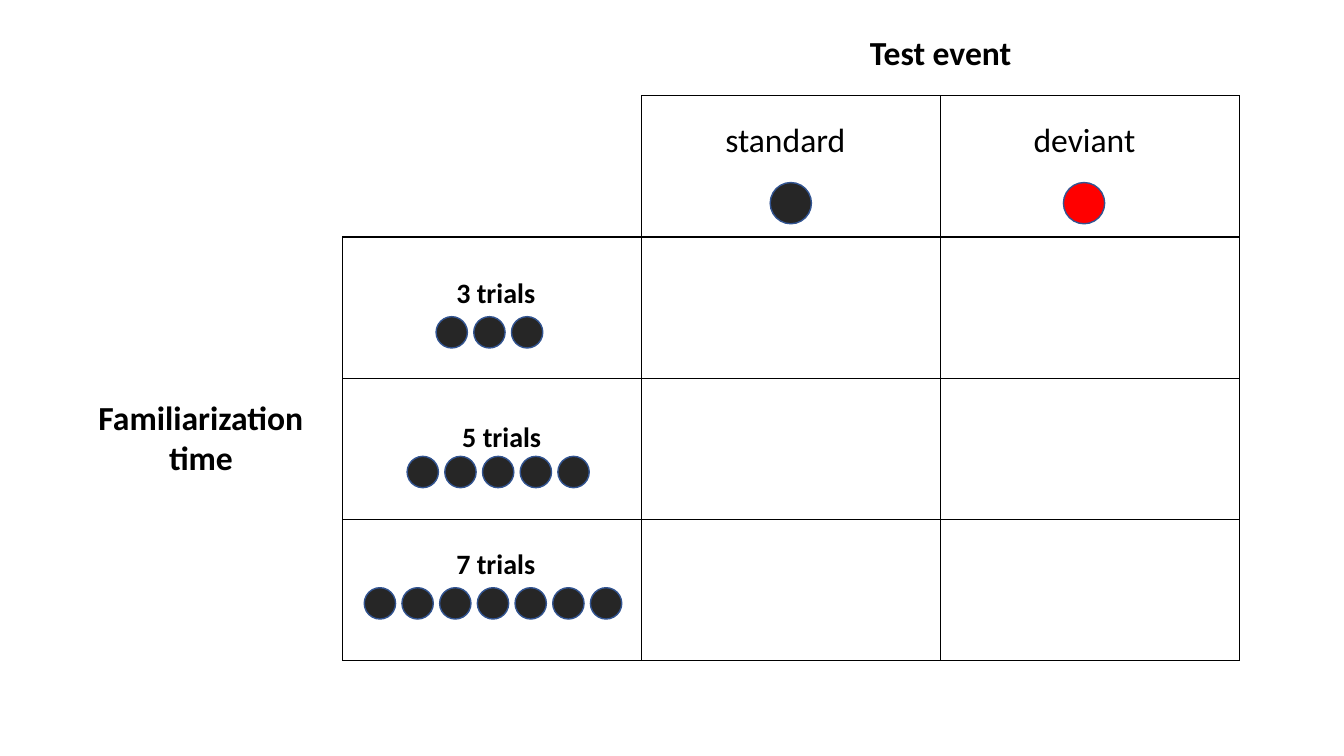
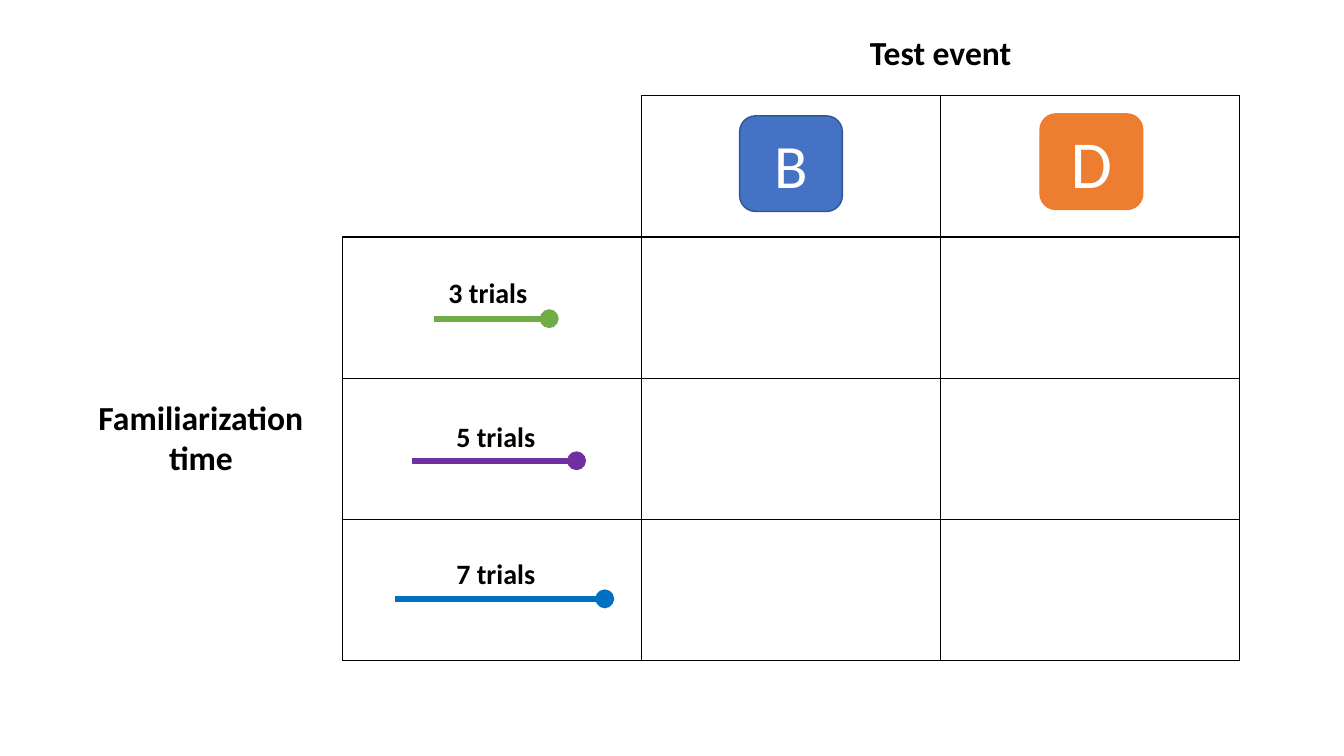
from lxml import etree
from pptx import Presentation
from pptx.dml.color import RGBColor
from pptx.enum.shapes import MSO_CONNECTOR, MSO_SHAPE
from pptx.enum.text import MSO_ANCHOR, PP_ALIGN
from pptx.oxml.ns import qn
from pptx.util import Cm, Pt

LEFT, MID = PP_ALIGN.LEFT, PP_ALIGN.CENTER
OVAL, CARD = MSO_SHAPE.OVAL, MSO_SHAPE.ROUNDED_RECTANGLE
LINE = MSO_CONNECTOR.STRAIGHT


class Theme:
    font = "Calibri"
    head, label = 24, 20
    black, white = "000000", "FFFFFF"
    dark, red, edge = "262626", "FF0000", "325491"
    blue, orange = "4472C4", "ED7D31"
    green, purple, sky = "70AD47", "7030A0", "0070C0"


def write(frame, lines, size, color=Theme.black, bold=False, align=MID):
    frame.word_wrap = True
    for i, line in enumerate(lines):
        para = frame.add_paragraph() if i else frame.paragraphs[0]
        para.alignment = align
        run = para.add_run()
        run.text = line
        run.font.name = Theme.font
        run.font.size = Pt(size)
        run.font.bold = bold
        run.font.color.rgb = RGBColor.from_string(color)


def draw(shapes, kind, x, y, w, h, fill, edge=Theme.edge):
    shape = shapes.add_shape(kind, Cm(x), Cm(y), Cm(w), Cm(h))
    shape.shadow.inherit = False
    shape.fill.solid()
    shape.fill.fore_color.rgb = RGBColor.from_string(fill)
    shape.line.color.rgb = RGBColor.from_string(edge)
    shape.line.width = Pt(1)
    return shape


prs = Presentation()
prs.slide_width, prs.slide_height = Cm(33.87), Cm(19.05)

# Row labels of each slide: text, left, top
labels = [
    [("3 trials", 11.25, 6.83), ("5 trials", 11.4, 10.44), ("7 trials", 11.25, 13.64)],
    [("3 trials", 11.05, 6.83), ("5 trials", 11.25, 10.44), ("7 trials", 11.25, 13.89)],
]

# Shared grid, headings and row labels
slides = []
for rows in labels:
    slide = prs.slides.add_slide(prs.slide_layouts[6])
    slides.append(slide)
    wide, high = 7.53, 3.56
    grid = slide.shapes.add_table(4, 3, Cm(8.64), Cm(2.41), Cm(3 * wide), Cm(4 * high)).table
    grid.first_row = grid.horz_banding = False
    for col in grid.columns:
        col.width = Cm(wide)
    for r, row in enumerate(grid.rows):
        row.height = Cm(high)
        for c, cell in enumerate(row.cells):
            cell.fill.background()
            props = cell._tc.get_or_add_tcPr()
            for i, side in enumerate("LRTB"):
                line = etree.Element(qn(f"a:ln{side}"), w=str(Pt(1)))
                if r == c == 0 and side in "LT":
                    etree.SubElement(line, qn("a:noFill"))
                else:
                    paint = etree.SubElement(line, qn("a:solidFill"))
                    etree.SubElement(paint, qn("a:srgbClr"), val=Theme.black)
                props.insert(i, line)

    for lines, x, y, h in [(["Familiarization", "time"], 0, 9.88, 2.31),
                           (["Test event"], 18.64, 0.69, 1.27)]:
        box = slide.shapes.add_textbox(Cm(x), Cm(y), Cm(10.13), Cm(h))
        write(box.text_frame, lines, Theme.head, bold=True)
    for text, x, y in rows:
        box = slide.shapes.add_textbox(Cm(x), Cm(y), Cm(3.1), Cm(1.12))
        write(box.text_frame, [text], Theme.label, bold=True, align=LEFT)

first, second = slides

# Slide 1: one dot per trial
for count, x, y in [(3, 10.99, 7.98), (5, 10.26, 11.5), (7, 9.18, 14.81)]:
    group = first.shapes.add_group_shape()
    for i in range(count):
        draw(group.shapes, OVAL, x + 0.95 * i, y, 0.79, 0.79, Theme.dark)

# Slide 1: test events
for text, x, align, dot, fill in [("standard", 18.03, LEFT, 19.41, Theme.dark),
                                  ("deviant", 25.3, MID, 26.8, Theme.red)]:
    box = first.shapes.add_textbox(Cm(x), Cm(2.87), Cm(4.06), Cm(1.27))
    write(box.text_frame, [text], Theme.head, align=align)
    draw(first.shapes, OVAL, dot, 4.6, 1.04, 1.04, fill)

# Slide 2: a longer line for more trials
for start, end, y, color in [(10.95, 13.84, 8.03, Theme.green),
                             (10.39, 14.53, 11.61, Theme.purple),
                             (9.96, 15.24, 15.09, Theme.sky)]:
    line = second.shapes.add_connector(LINE, Cm(start), Cm(y), Cm(end), Cm(y))
    line.line.color.rgb = RGBColor.from_string(color)
    line.line.width = Pt(4.5)
    etree.SubElement(line.line._get_or_add_ln(), qn("a:tailEnd"), type="oval")
    etree.SubElement(line._element.spPr, qn("a:effectLst"))

# Slide 2: test events
for text, x, y, size, fill, edge in [("B", 18.64, 2.92, 44, Theme.blue, Theme.edge),
                                     ("D", 26.21, 2.87, 48, Theme.orange, Theme.orange)]:
    card = draw(second.shapes, CARD, x, y, 2.59, 2.41, fill, edge)
    card.text_frame.vertical_anchor = MSO_ANCHOR.MIDDLE
    write(card.text_frame, [text], size, Theme.white)

prs.save("out.pptx")
